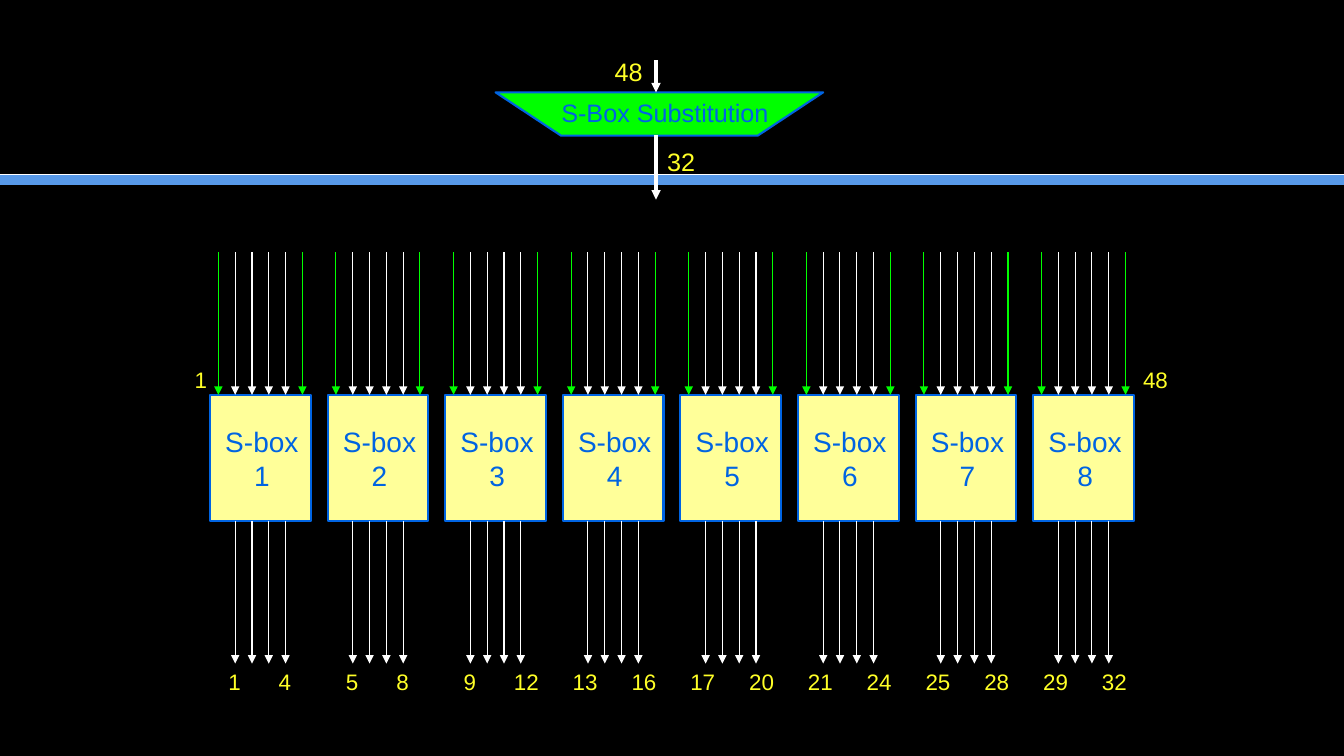
from pptx import Presentation
from pptx.dml.color import RGBColor
from pptx.enum.shapes import MSO_CONNECTOR, MSO_SHAPE
from pptx.enum.text import MSO_AUTO_SIZE, PP_ALIGN
from pptx.oxml.ns import qn
from pptx.util import Inches, Pt
from lxml.etree import SubElement

COLORS = {
    "background": "000000",
    "bar": "5799E8",
    "wire": "FFFFFF",
    "shared wire": "00FF00",
    "substitution": "00FF00",
    "box": "FFFF99",
    "outline": "0064E2",
    "number": "FFFF27",
}
COLUMNS, ROWS = 160, 90
CELL = Inches(1) // 12
BOX_COUNT, BOX_PITCH = 8, 14
BOX_LEFT, BOX_TOP, BOX_WIDTH, BOX_HEIGHT = 25, 47, 12, 15
WIRE_LENGTH, WIRE_GAP = 17, 2
INPUTS, OUTPUTS = 6, 4
LABEL_HEIGHT = 4.44


def grid(*cells):
    return [round(cell * CELL) for cell in cells]


def color(name):
    return RGBColor.from_string(COLORS[name])


def add_line(slide, start, end, color_name, width, arrow=True):
    line = slide.shapes.add_connector(MSO_CONNECTOR.STRAIGHT, *grid(*start, *end))
    line.line.color.rgb = color(color_name)
    line.line.width = Pt(width)
    if arrow:
        SubElement(line.line._get_or_add_ln(), qn("a:tailEnd"), type="triangle")
    SubElement(line._element.spPr, qn("a:effectLst"))


def add_block(slide, kind, place, fill_name):
    block = slide.shapes.add_shape(kind, *grid(*place))
    block.shadow.inherit = False
    block.fill.solid()
    block.fill.fore_color.rgb = color(fill_name)
    block.line.color.rgb = color("outline")
    block.line.width = Pt(1.5)


def add_label(slide, place, lines, size, color_name, align=PP_ALIGN.LEFT):
    frame = slide.shapes.add_textbox(*grid(*place)).text_frame
    for name, value in {"word_wrap": False, "auto_size": MSO_AUTO_SIZE.SHAPE_TO_FIT_TEXT}.items():
        setattr(frame, name, value)
    frame.text = "\n".join(lines)
    for paragraph in frame.paragraphs:
        paragraph.alignment = align
        paragraph.font.color.rgb = color(color_name)
        for name, value in {"name": "Arial", "size": Pt(size)}.items():
            setattr(paragraph.font, name, value)


def add_number(slide, left, top, number):
    width = 4 if number < 10 else 5.4
    add_label(slide, (left, top, width, LABEL_HEIGHT), [str(number)], 16, "number")


def add_wires(slide, first, top, colors):
    for index, color_name in enumerate(colors):
        x = first + index * WIRE_GAP
        add_line(slide, (x, top), (x, top + WIRE_LENGTH), color_name, 0.75)


def add_sbox(slide, index):
    left = BOX_LEFT + index * BOX_PITCH
    bottom = BOX_TOP + BOX_HEIGHT
    add_block(slide, MSO_SHAPE.RECTANGLE, (left, BOX_TOP, BOX_WIDTH, BOX_HEIGHT), "box")
    add_label(slide, (left + 0.6, BOX_TOP + 3, 11.16, 9.24),
              ["S-box", str(index + 1)], 20, "outline", PP_ALIGN.CENTER)
    inner = ["wire"] * OUTPUTS
    add_wires(slide, left + 3, bottom, inner)
    add_wires(slide, left + 1, BOX_TOP - WIRE_LENGTH, ["shared wire", *inner, "shared wire"])
    first_bit, last_bit = index * OUTPUTS + 1, (index + 1) * OUTPUTS
    first_left = left + (1 if first_bit < 10 else 0)
    add_number(slide, first_left, bottom + WIRE_LENGTH, first_bit)
    add_number(slide, left + 7, bottom + WIRE_LENGTH, last_bit)


def add_overview(slide):
    add_block(slide, MSO_SHAPE.FLOWCHART_MANUAL_OPERATION, (59, 11, 39, 5.16), "substitution")
    for top, bottom in ((7.2, 11), (16.1, 23.76)):
        add_line(slide, (78.1, top), (78.1, bottom), "wire", 2.25)
    add_label(slide, (65.64, 11, 27.36, 4.8), ["S-Box Substitution"], 18, "outline")
    for left, top, bits in ((72, 6.12, "48"), (78.24, 16.8, "32")):
        add_label(slide, (left, top, 5.76, 4.8), [bits], 18, "number")


def main():
    deck = Presentation()
    deck.slide_width, deck.slide_height = grid(COLUMNS, ROWS)
    slide = deck.slides.add_slide(deck.slide_layouts[6])
    slide.background.fill.solid()
    slide.background.fill.fore_color.rgb = color("background")
    for y, color_name, width in ((21.4, "bar", 7), (20.8, "wire", 0.5)):
        add_line(slide, (0, y), (COLUMNS, y), color_name, width, arrow=False)
    for index in range(BOX_COUNT):
        add_sbox(slide, index)
    add_number(slide, 22, 43, 1)
    add_number(slide, 134.9, 43, BOX_COUNT * INPUTS)
    add_overview(slide)
    deck.save("out.pptx")


if __name__ == "__main__":
    main()
